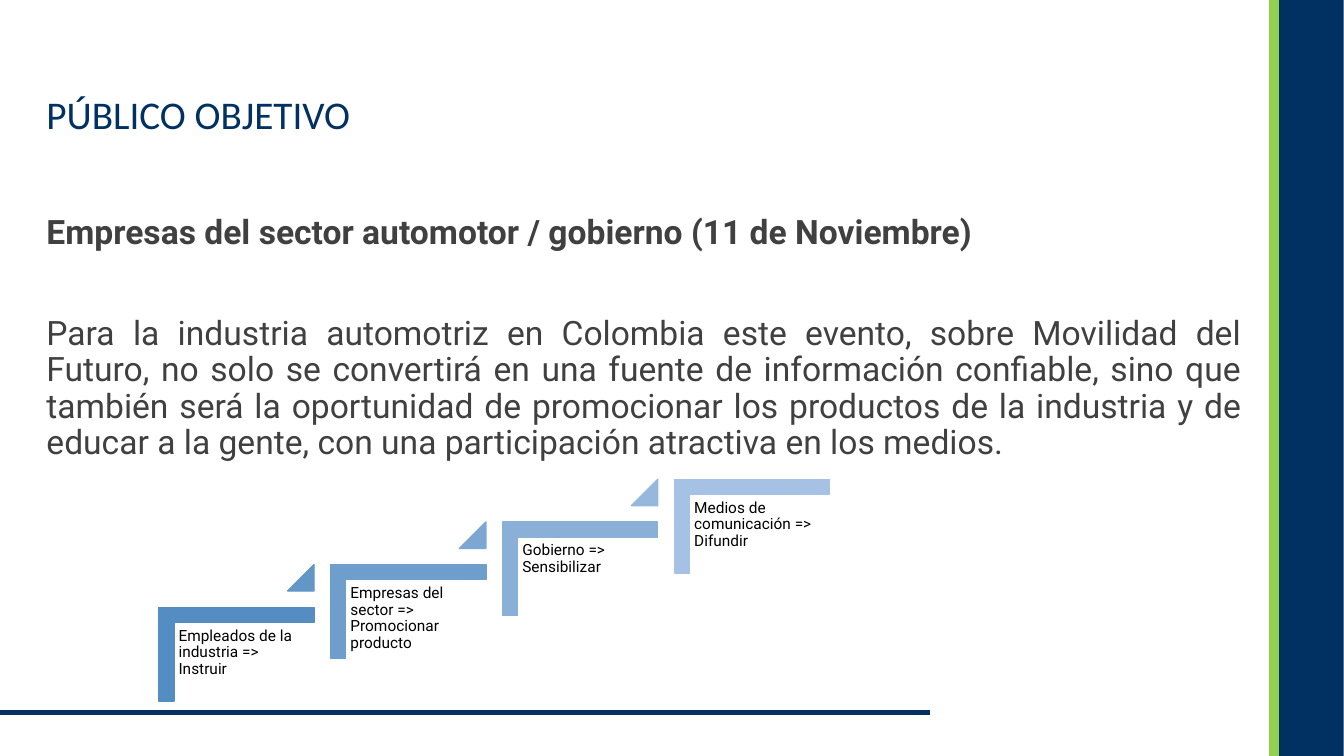
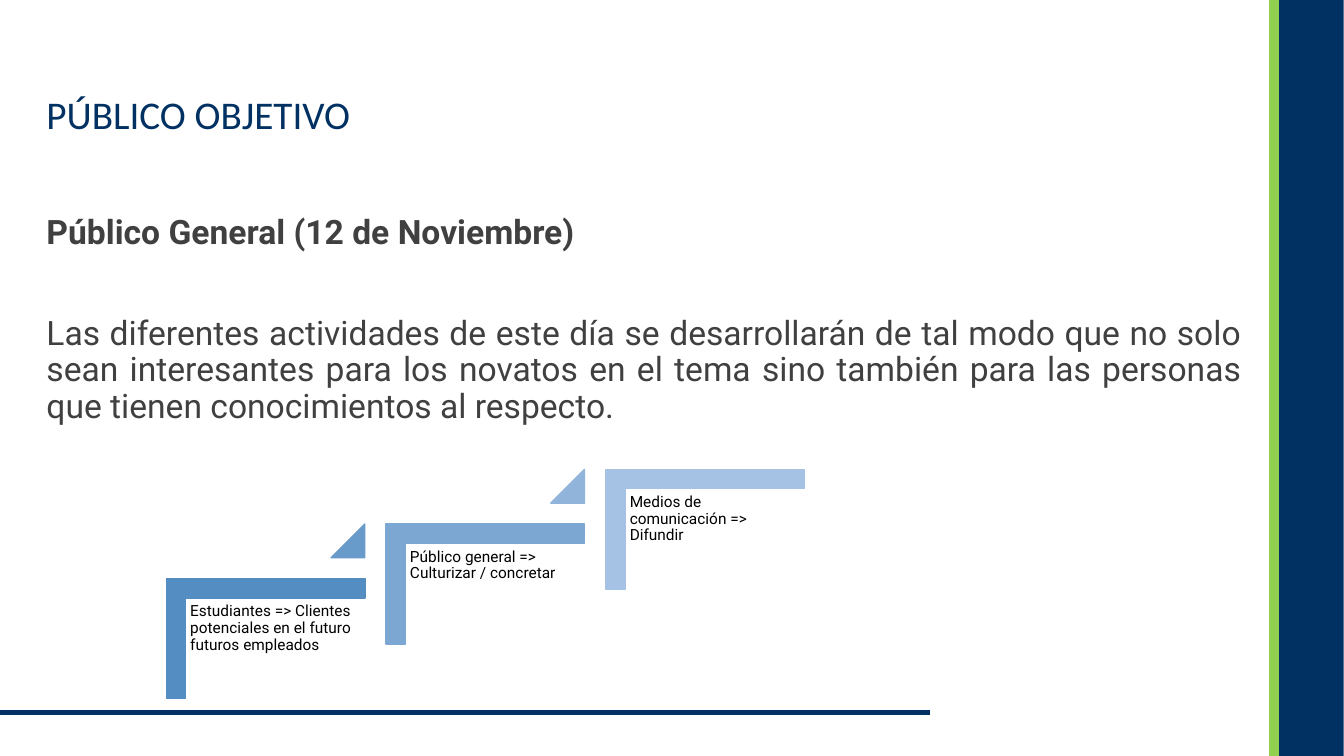
import pptx
import pptx.util
import pptx.dml.color
import pptx.enum.shapes
import pptx.enum.text
import pptx.oxml

Pt = pptx.util.Pt
RGBColor = pptx.dml.color.RGBColor
Shape = pptx.enum.shapes.MSO_SHAPE
Align = pptx.enum.text.PP_ALIGN
Anchor = pptx.enum.text.MSO_ANCHOR

# Shared colours and fonts
NAVY = RGBColor(0x00, 0x31, 0x62)
GREEN = RGBColor(0x92, 0xD0, 0x50)
GRAY = RGBColor(0x40, 0x40, 0x40)
BLACK = RGBColor(0x00, 0x00, 0x00)
STEP_DARK = RGBColor(0x53, 0x8D, 0xC1)
STEP_LIGHT = RGBColor(0xA5, 0xC1, 0xE3)
TITLE_FONT = "Calibri"
BODY_FONT = "Roboto"

SLIDE_WIDTH, SLIDE_HEIGHT = 960, 540
TEXT_LEFT, TEXT_WIDTH = 26, 868

# Staircase proportions, relative to the width of one step
STEP_HEIGHT = 0.604
STEP_RUN = 1.107
STEP_RISE = 0.275
TRIANGLE_SIZE = 0.17
BAR_RATIO = 0.161

SLIDES = [
    {
        "heading": "Empresas del sector automotor / gobierno (11 de Noviembre)",
        "body": "Para la industria automotriz en Colombia este evento, sobre "
                "Movilidad del Futuro, no solo se convertirá en una fuente de "
                "información confiable, sino que también será la oportunidad de "
                "promocionar los productos de la industria y de educar a la "
                "gente, con una participación atractiva en los medios.",
        "stairs": (113.4, 433.8, 110.9),
        "steps": ["Empleados de la industria => Instruir",
                  "Empresas del sector => Promocionar producto",
                  "Gobierno => Sensibilizar",
                  "Medios de comunicación => Difundir"],
    },
    {
        "heading": "Público General (12 de Noviembre)",
        "body": "Las diferentes actividades de este día se desarrollarán de tal "
                "modo que no solo sean interesantes para los novatos en el tema "
                "sino también para las personas que tienen conocimientos al "
                "respecto.",
        "stairs": (118.8, 413.3, 141.8),
        "steps": ["Estudiantes => Clientes potenciales en el futuro futuros empleados",
                  "Público general => Culturizar / concretar",
                  "Medios de comunicación => Difundir"],
    },
]


def write_text(paragraph, text, *, size, font, color, bold=False,
               align=Align.LEFT, line_spacing=0.9, space_before=0):
    paragraph.alignment = align
    paragraph.line_spacing = line_spacing
    paragraph.space_before = Pt(space_before)
    run = paragraph.add_run()
    run.text = text
    run.font.size = Pt(size)
    run.font.name = font
    run.font.bold = bold
    run.font.color.rgb = color


def place(shape, left, top, width, height):
    shape.left, shape.top = Pt(left), Pt(top)
    shape.width, shape.height = Pt(width), Pt(height)


def add_block(shapes, kind, left, top, width, height, color):
    shape = shapes.add_shape(kind, Pt(left), Pt(top), Pt(width), Pt(height))
    shape.shadow.inherit = False
    shape.fill.solid()
    shape.fill.fore_color.rgb = color
    shape.line.color.rgb = color
    shape.line.width = Pt(1)
    return shape


def add_rule(shapes, left, right, y, color, weight):
    rule = shapes.add_connector(pptx.enum.shapes.MSO_CONNECTOR.STRAIGHT,
                                Pt(left), Pt(y), Pt(right), Pt(y))
    rule.line.color.rgb = color
    rule.line.width = Pt(weight)
    rule.element.spPr.append(pptx.oxml.parse_xml(
        '<a:effectLst xmlns:a="http://schemas.openxmlformats.org/drawingml/2006/main"/>'))
    return rule


def prepare_layout(layout, slide):
    """Place the layout's placeholders and move the shared decoration onto it."""
    for placeholder in list(layout.placeholders):
        if placeholder.placeholder_format.idx >= 10:
            placeholder.element.getparent().remove(placeholder.element)
    title, body = layout.placeholders
    place(title, TEXT_LEFT, 24, TEXT_WIDTH, 104)
    place(body, TEXT_LEFT, 150.5, TEXT_WIDTH, 269)

    bands = [add_block(slide.shapes, Shape.RECTANGLE, left, 0, 46, SLIDE_HEIGHT, color)
             for left, color in ((906.5, GREEN), (913.7, NAVY))]
    for band in bands:
        band.line.fill.background()
    rule = add_rule(slide.shapes, 664.5, 0, 509, NAVY, 3)
    for position, shape in enumerate(bands + [rule], start=2):
        layout.shapes.element.insert(position, shape.element)


def fill_placeholders(slide, heading, text):
    title, body = slide.placeholders
    title.text_frame.vertical_anchor = Anchor.MIDDLE
    write_text(title.text_frame.paragraphs[0], "PÚBLICO OBJETIVO", size=28,
               font=TITLE_FONT, color=NAVY, line_spacing=1.3)

    frame = body.text_frame
    frame.auto_size = pptx.enum.text.MSO_AUTO_SIZE.NONE
    body_format = dict(size=24, font=BODY_FONT, color=GRAY, align=Align.JUSTIFY)
    write_text(frame.paragraphs[0], heading, bold=True, space_before=10, **body_format)
    write_text(frame.add_paragraph(), text, space_before=46, **body_format)
    for paragraph in frame.paragraphs:
        properties = paragraph._p.get_or_add_pPr()
        properties.set("marL", "0")
        properties.set("indent", "0")
        properties.append(pptx.oxml.parse_xml(
            '<a:buNone xmlns:a="http://schemas.openxmlformats.org/drawingml/2006/main"/>'))


def blend(fraction):
    return RGBColor(*(round(dark + (light - dark) * fraction)
                      for dark, light in zip(STEP_DARK, STEP_LIGHT)))


def add_label(shapes, text, left, top, width, height):
    frame = shapes.add_textbox(Pt(left), Pt(top), Pt(width), Pt(height)).text_frame
    frame.word_wrap = True
    frame.margin_left = frame.margin_right = Pt(3.6)
    frame.margin_top = frame.margin_bottom = Pt(3.6)
    write_text(frame.paragraphs[0], text, size=11, font=BODY_FONT, color=BLACK)


def add_stairs(slide, labels, left, top, width):
    """Draw rising steps with a triangle between neighbours."""
    shapes = slide.shapes.add_group_shape().shapes
    height = STEP_HEIGHT * width
    triangle = TRIANGLE_SIZE * width
    last = len(labels) - 1
    for index, label in enumerate(labels):
        x = left + index * STEP_RUN * width
        y = top - index * STEP_RISE * width
        # The corner is turned a quarter, so its frame has swapped sides
        offset = (width - height) / 2
        corner = add_block(shapes, Shape.CORNER, x + offset, y - offset,
                           height, width, blend(index / last))
        corner.rotation = 90
        corner.adjustments[0] = corner.adjustments[1] = BAR_RATIO
        add_label(shapes, label, x + 0.095 * width, y + 0.1 * width,
                  0.903 * width, 0.79 * width)
        if index < last:
            arrow = add_block(shapes, Shape.ISOSCELES_TRIANGLE, x + width - triangle,
                              y - STEP_RISE * width, triangle, triangle,
                              blend((index + 0.5) / last))
            arrow.adjustments[0] = 1


def main():
    presentation = pptx.Presentation()
    presentation.slide_width = Pt(SLIDE_WIDTH)
    presentation.slide_height = Pt(SLIDE_HEIGHT)
    layout = presentation.slide_layouts[1]
    slides = [presentation.slides.add_slide(layout) for _ in SLIDES]
    prepare_layout(layout, slides[0])
    for slide, content in zip(slides, SLIDES):
        fill_placeholders(slide, content["heading"], content["body"])
        add_stairs(slide, content["steps"], *content["stairs"])
    presentation.save("out.pptx")


if __name__ == "__main__":
    main()
